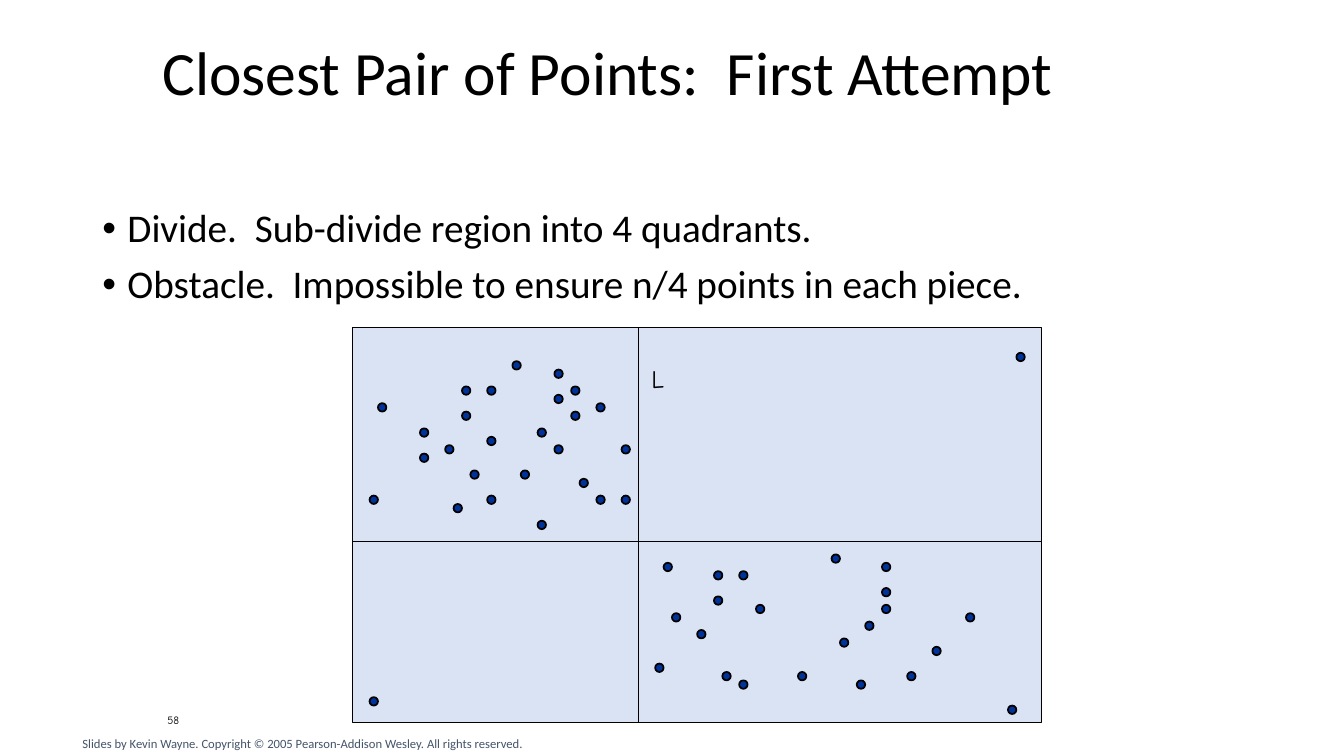
from typing import NamedTuple

from pptx import Presentation, util as u
from pptx.dml.color import RGBColor
from pptx.enum import shapes, text
from pptx.oxml import ns, xmlchemy

PX = u.Inches(1) // 96
GRID = 8  # px between neighbouring point positions; also a point's diameter
COLORS = {"black": "000000", "region": "DAE3F3", "point": "003399", "credit": "44546A"}


class Box(NamedTuple):
    left: int
    top: int
    width: int
    height: int


class Label(NamedTuple):
    box: Box
    lines: list[str]
    size: int
    font: str = "Calibri"
    color: str = "black"
    align: text.PP_ALIGN = text.PP_ALIGN.LEFT
    anchor: text.MSO_ANCHOR = text.MSO_ANCHOR.TOP
    spacing: float = 1.0
    bulleted: bool = False


REGION = Box(336, 312, 656, 376)
DIVIDE_X, DIVIDE_Y = 608, 516

TITLE = Label(Box(145, 28, 1104, 87), ["Closest Pair of Points:  First Attempt"], 44,
              anchor=text.MSO_ANCHOR.MIDDLE, spacing=0.9)
LABELS = [
    Label(Box(150, 667, 227, 38), ["58"], 8, font="Comic Neue", anchor=text.MSO_ANCHOR.MIDDLE),
    Label(Box(88, 194, 1161, 455),
          ["Divide.  Sub-divide region into 4 quadrants.",
           "Obstacle.  Impossible to ensure n/4 points in each piece."],
          28, spacing=0.9, bulleted=True),
    Label(Box(600, 341, 53, 38), ["L"], 18, font="Comic Neue", align=text.PP_ALIGN.CENTER),
    Label(Box(69, 696, 540, 24),
          ["Slides by Kevin Wayne. Copyright © 2005 Pearson-Addison Wesley. All rights reserved."],
          9, color="credit"),
]

# Column and row of each point, in grid steps from the slide's corner
POINTS = {
    "upper left": [
        (50, 54), (74, 53), (64, 51), (45, 48), (58, 52), (61, 43), (62, 56), (71, 48), (58, 46),
        (69, 57), (44, 59), (64, 62), (74, 59), (66, 44), (50, 51), (54, 60), (66, 47), (56, 56),
        (53, 53), (58, 59), (55, 46), (55, 49), (66, 53), (71, 59), (68, 46), (68, 49)],
    "upper right": [(121, 42)],
    "lower left": [(44, 83)],
    "lower right": [
        (78, 79), (95, 80), (120, 84), (100, 76), (88, 68), (79, 67), (86, 80), (80, 73),
        (111, 77), (90, 72), (99, 66), (102, 81), (105, 72), (115, 73), (103, 74), (108, 80),
        (105, 67), (105, 70), (83, 75), (88, 81), (85, 68), (85, 71)],
}


def color(name: str) -> RGBColor:
    return RGBColor.from_string(COLORS[name])


def emu(lengths) -> list[int]:
    return [length * PX for length in lengths]


def add_bullet(paragraph) -> None:
    properties = paragraph._p.get_or_add_pPr()
    properties.set("marL", str(u.Inches(0.25)))
    properties.set("indent", str(-u.Inches(0.25)))
    for tag, name, value in (("a:buFont", "typeface", "Arial"), ("a:buChar", "char", "•")):
        element = xmlchemy.OxmlElement(tag)
        element.set(name, value)
        properties.append(element)


def write_label(shape, label: Label) -> None:
    """Place a text shape and fill it with the label's lines."""
    shape.left, shape.top, shape.width, shape.height = emu(label.box)
    frame = shape.text_frame
    frame.auto_size = text.MSO_AUTO_SIZE.NONE
    frame.word_wrap = True
    frame.vertical_anchor = label.anchor
    frame.text = "\n".join(label.lines)
    for index, paragraph in enumerate(frame.paragraphs):
        if label.bulleted:
            add_bullet(paragraph)
        paragraph.alignment = label.align
        paragraph.line_spacing = label.spacing
        paragraph.space_before = u.Pt(10 if index else 0)
        paragraph.font.name = label.font
        paragraph.font.size = u.Pt(label.size)
        paragraph.font.color.rgb = color(label.color)


def add_filled(slide, kind: shapes.MSO_SHAPE, box: Box, fill: str, line_width: float) -> None:
    shape = slide.shapes.add_shape(kind, *emu(box))
    shape.shadow.inherit = False
    shape.fill.solid()
    shape.fill.fore_color.rgb = color(fill)
    shape.line.color.rgb = color("black")
    shape.line.width = u.Pt(line_width)


def add_divider(slide, *ends: int) -> None:
    line = slide.shapes.add_connector(shapes.MSO_CONNECTOR.STRAIGHT, *emu(ends))
    line.line.color.rgb = color("black")
    line.line.width = u.Pt(1)
    line._element.find(ns.qn("p:spPr")).append(xmlchemy.OxmlElement("a:effectLst"))


def main() -> None:
    presentation = Presentation()
    presentation.slide_width, presentation.slide_height = emu((1280, 720))
    slide = presentation.slides.add_slide(presentation.slide_layouts.get_by_name("Title Only"))
    write_label(slide.shapes.title, TITLE)

    add_filled(slide, shapes.MSO_SHAPE.RECTANGLE, REGION, "region", 1)
    add_divider(slide, DIVIDE_X, REGION.top, DIVIDE_X, REGION.top + REGION.height)
    add_divider(slide, REGION.left, DIVIDE_Y, REGION.left + REGION.width, DIVIDE_Y)
    for quadrant in POINTS.values():
        for column, row in quadrant:
            box = Box(column * GRID, row * GRID, GRID, GRID)
            add_filled(slide, shapes.MSO_SHAPE.OVAL, box, "point", 1.25)

    for label in LABELS:
        write_label(slide.shapes.add_textbox(*emu(label.box)), label)
    presentation.save("out.pptx")


if __name__ == "__main__":
    main()
